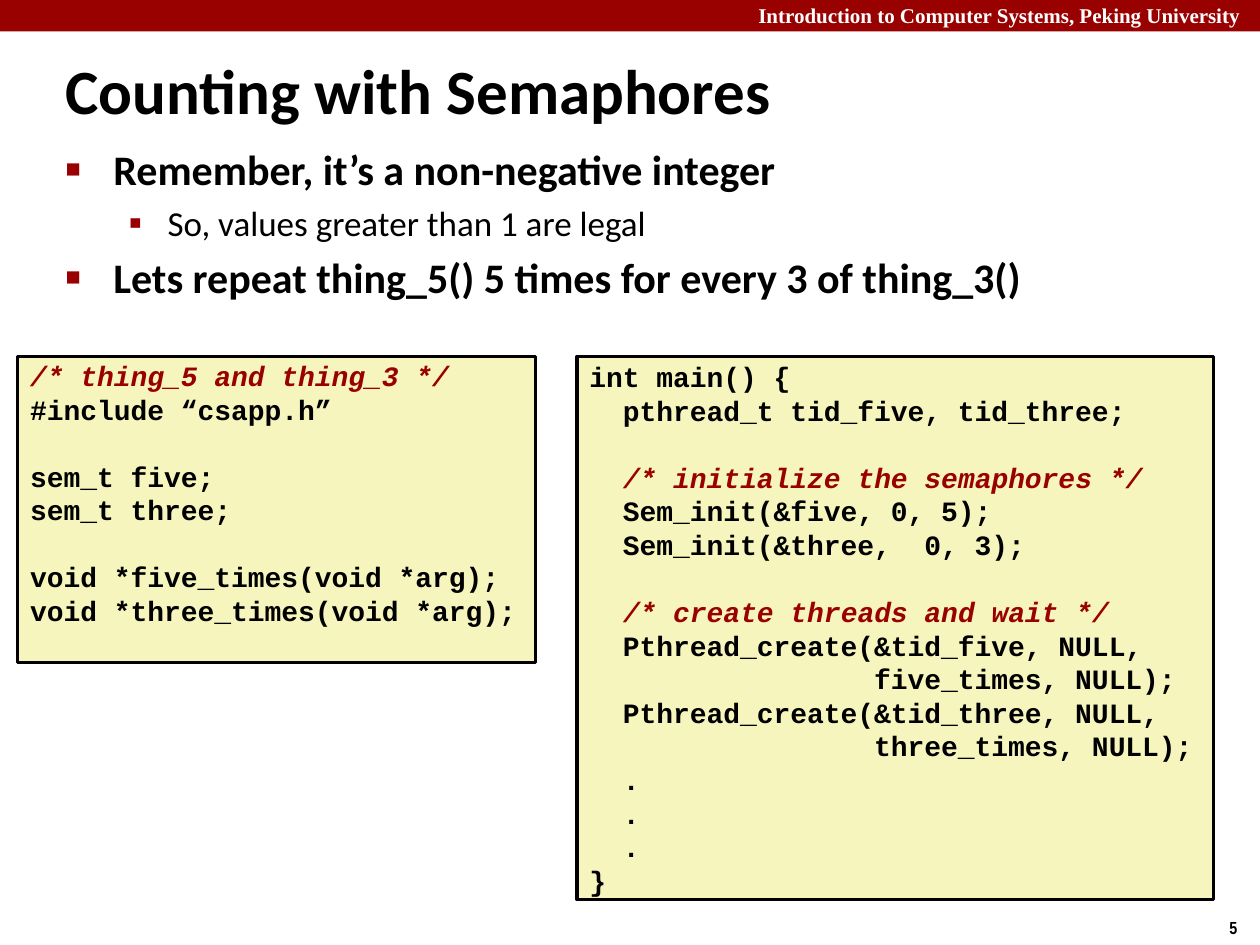
from dataclasses import dataclass

from lxml import etree
from pptx import Presentation
from pptx.dml.color import RGBColor
from pptx.enum.shapes import MSO_SHAPE
from pptx.enum.text import MSO_ANCHOR, MSO_AUTO_SIZE, PP_ALIGN
from pptx.oxml.ns import qn
from pptx.util import Inches, Pt

RECTANGLE = MSO_SHAPE.RECTANGLE
TOP, MIDDLE = MSO_ANCHOR.TOP, MSO_ANCHOR.MIDDLE
LEFT = PP_ALIGN.LEFT
FIXED_SIZE = MSO_AUTO_SIZE.NONE

# The slide is a grid of 100 columns by 75 rows
COLUMNS, ROWS = 100, 75
WIDTH, HEIGHT = Inches(10), Inches(7.5)


@dataclass(frozen=True)
class Theme:
    accent: str = "990000"
    ink: str = "000000"
    paper: str = "FFFFFF"
    code_fill: str = "F6F5BD"
    text_font: str = "Calibri"
    code_font: str = "Courier New"
    header_font: str = "Times New Roman"
    number_font: str = "Arial Narrow"
    title_size: int = 36
    body_sizes: tuple = (24, 20)
    code_size: int = 16
    header_size: int = 12
    number_size: int = 10


THEME = Theme()

# Per level: bullet sign, its size in percent, text indent and hang in inches
BULLETS = (("■", 60, 0.38, 0.38), ("▪", 110, 0.81, 0.31))

POINTS = (
    (0, "Remember, it’s a non-negative integer"),
    (1, "So, values greater than 1 are legal"),
    (0, "Lets repeat thing_5() 5 times for every 3 of thing_3()"),
)

DECLARATIONS = """/* thing_5 and thing_3 */
#include “csapp.h”

sem_t five;
sem_t three;

void *five_times(void *arg);
void *three_times(void *arg);
"""

MAIN_ROUTINE = """int main() {
  pthread_t tid_five, tid_three;

  /* initialize the semaphores */
  Sem_init(&five, 0, 5);
  Sem_init(&three,  0, 3);

  /* create threads and wait */
  Pthread_create(&tid_five, NULL,
                 five_times, NULL);
  Pthread_create(&tid_three, NULL,
                 three_times, NULL);
  .
  .
  .
}"""


def cells(column, row, columns, rows):
    """Turn grid cells into left, top, width and height."""
    return (round(WIDTH * column / COLUMNS), round(HEIGHT * row / ROWS),
            round(WIDTH * columns / COLUMNS), round(HEIGHT * rows / ROWS))


def move(placeholder, area):
    placeholder.left, placeholder.top, placeholder.width, placeholder.height = area


def add_run(paragraph, text, font, size, color=THEME.ink, bold=True, italic=False):
    run = paragraph.add_run()
    run.text = text
    run.font.name = font
    run.font.size = Pt(size)
    run.font.bold = bold
    run.font.italic = italic
    run.font.color.rgb = RGBColor.from_string(color)


def add_panel(slide, area, fill):
    panel = slide.shapes.add_shape(RECTANGLE, *area)
    panel.shadow.inherit = False
    panel.fill.solid()
    panel.fill.fore_color.rgb = RGBColor.from_string(fill)
    panel.line.fill.background()
    return panel


def add_label(slide, area, text, font, size, color):
    label = slide.shapes.add_textbox(*area)
    label.text_frame.word_wrap = True
    add_run(label.text_frame.paragraphs[0], text, font, size, color)


def set_bullet(paragraph, level):
    sign, percent, indent, hang = BULLETS[level]
    properties = paragraph._p.get_or_add_pPr()
    properties.set("marL", str(Inches(indent)))
    properties.set("indent", str(-Inches(hang)))
    color = etree.SubElement(properties, qn("a:buClr"))
    etree.SubElement(color, qn("a:srgbClr"), val=THEME.accent)
    etree.SubElement(properties, qn("a:buSzPct"), val=str(percent * 1000))
    etree.SubElement(properties, qn("a:buChar"), char=sign)


def fill_title(title, text):
    move(title, cells(4.2, 3.9, 80.3, 6.3))
    frame = title.text_frame
    frame.auto_size = FIXED_SIZE
    frame.vertical_anchor = MIDDLE
    frame.paragraphs[0].alignment = LEFT
    add_run(frame.paragraphs[0], text, THEME.text_font, THEME.title_size)


def fill_points(body, points):
    move(body, cells(4.2, 10.9, 93.5, 21.6))
    frame = body.text_frame
    frame.auto_size = FIXED_SIZE
    frame.vertical_anchor = TOP
    for index, (level, text) in enumerate(points):
        paragraph = frame.add_paragraph() if index else frame.paragraphs[0]
        size = THEME.body_sizes[level]
        paragraph.level = level
        set_bullet(paragraph, level)
        paragraph.space_before = Pt(size * 0.2 if index else 0)
        add_run(paragraph, text, THEME.text_font, size, bold=level == 0)


def add_code(slide, area, code):
    panel = add_panel(slide, area, THEME.code_fill)
    panel.line.color.rgb = RGBColor.from_string(THEME.ink)
    panel.line.width = Pt(2)
    frame = panel.text_frame
    frame.word_wrap = True
    frame.vertical_anchor = MIDDLE
    frame.margin_top = frame.margin_bottom = 0
    for index, line in enumerate(code.split("\n")):
        paragraph = frame.add_paragraph() if index else frame.paragraphs[0]
        paragraph.alignment = LEFT
        statement, mark, remark = line.partition("/*")
        if statement:
            add_run(paragraph, statement, THEME.code_font, THEME.code_size)
        if mark:
            add_run(paragraph, mark + remark, THEME.code_font, THEME.code_size,
                    THEME.accent, italic=True)
        if not line:
            # An empty code line keeps the height of the others
            ending = etree.SubElement(paragraph._p, qn("a:endParaRPr"),
                                      sz=str(THEME.code_size * 100), b="1")
            etree.SubElement(ending, qn("a:latin"), typeface=THEME.code_font)


def main():
    deck = Presentation()
    deck.slide_width, deck.slide_height = WIDTH, HEIGHT
    slide = deck.slides.add_slide(deck.slide_layouts[1])

    # Course banner and page number
    add_panel(slide, cells(0, 0, COLUMNS, 2.5), THEME.accent)
    add_label(slide, cells(59.2, -0.3, 41.5, 3),
              "Introduction to Computer Systems, Peking University",
              THEME.header_font, THEME.header_size, THEME.paper)
    add_label(slide, cells(96.6, 72.3, 3.4, 2.7), "5",
              THEME.number_font, THEME.number_size, THEME.ink)

    # Title and points
    fill_title(slide.shapes.title, "Counting with Semaphores")
    fill_points(slide.placeholders[1], POINTS)

    # Code side by side, on a shared top row
    code_row = 28.3
    add_code(slide, cells(1.4, code_row, 41.1, 24.3), DECLARATIONS)
    add_code(slide, cells(45.8, code_row, 50.5, 43.1), MAIN_ROUTINE)

    deck.save("out.pptx")


if __name__ == "__main__":
    main()
